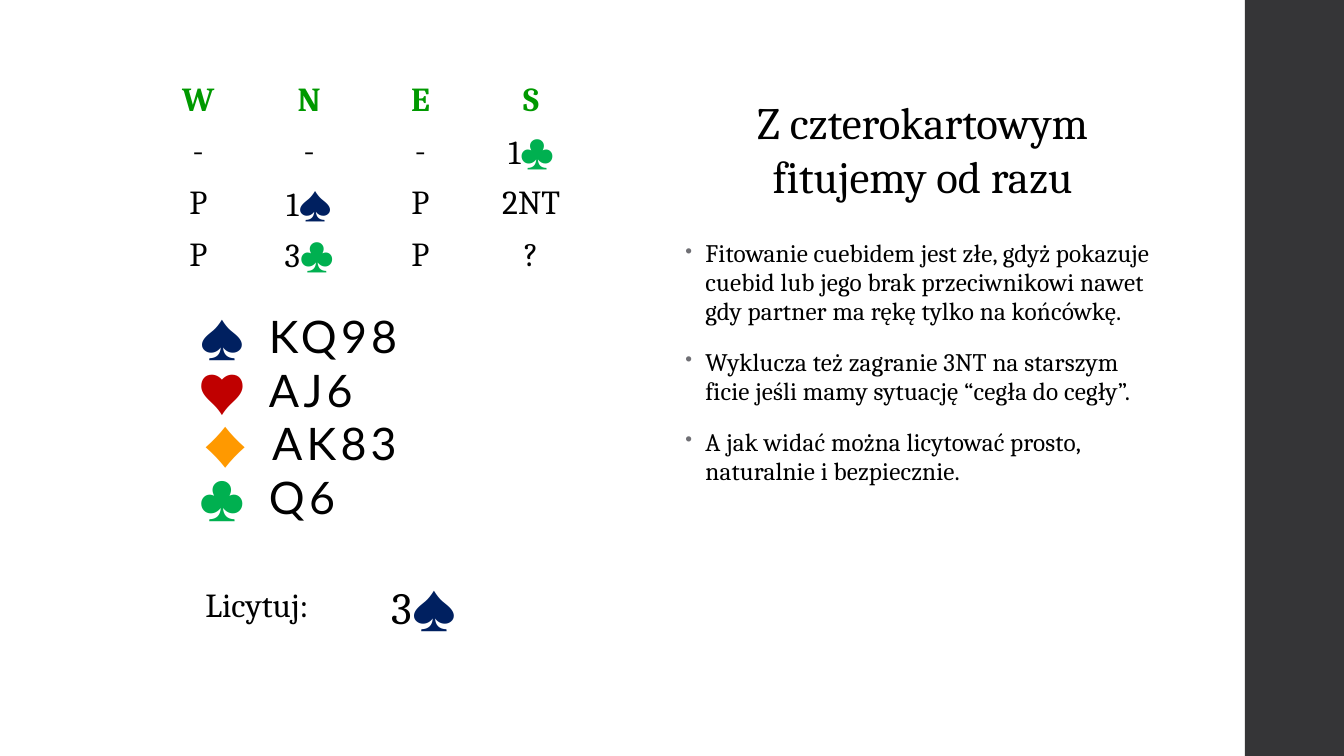
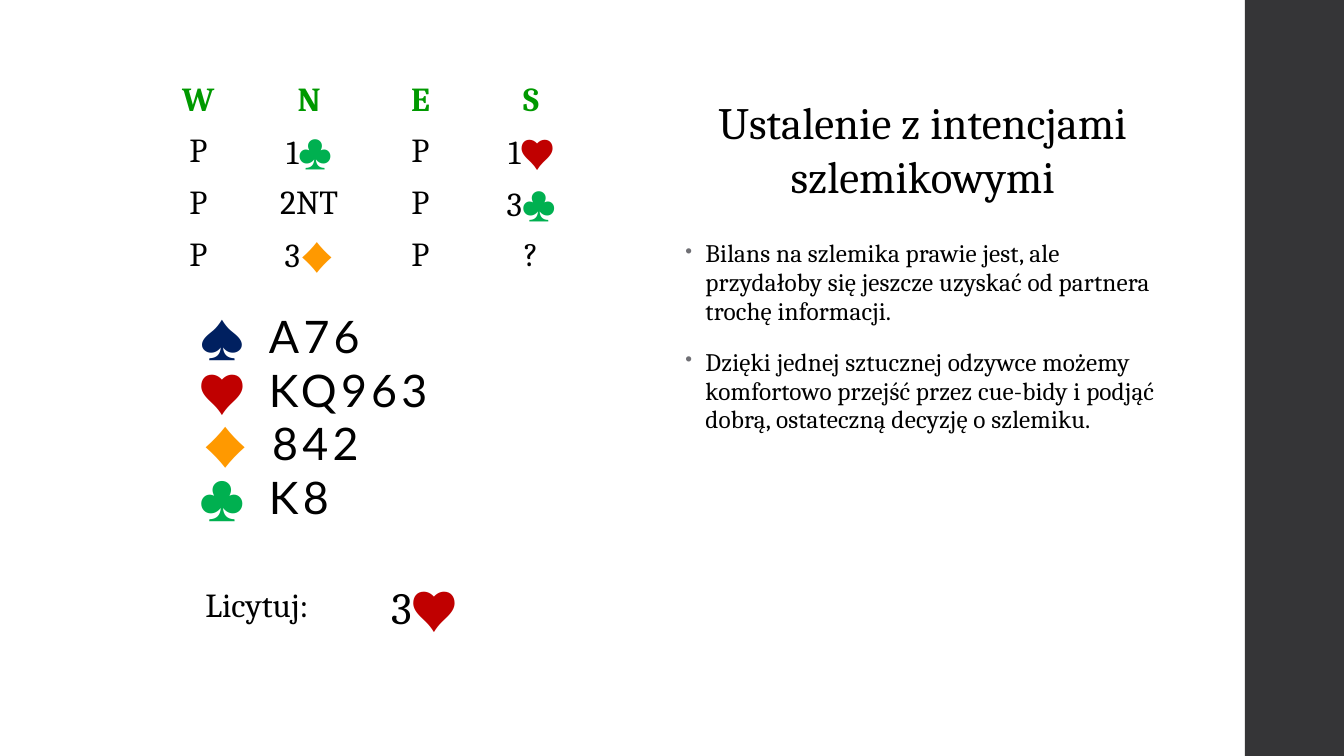
from dataclasses import dataclass
from itertools import groupby
from typing import Any, NamedTuple

from lxml import etree
from pptx import Presentation
from pptx import slide as s
from pptx import util as u
from pptx.dml import color
from pptx.enum import shapes, text
from pptx.oxml import ns
from pptx.text import text as t

COLORS = {
    "band": "353537",
    "text": "000000",
    "seat": "009900",
    "bullet": "6F6F74",
    "♠": "002060",
    "♥": "C00000",
    "♦": "FF9900",
    "♣": "00B050",
}
SUITS = "♠♥♦♣"
SERIF = "Cambria"
SANS = "Lato"
SUIT_SPACING = 3


class Style(NamedTuple):
    size: int
    name: str = SERIF
    color: str = "text"
    bold: bool = False
    spacing: float = 0


class Box(NamedTuple):
    left: float
    top: float
    width: float
    height: float

    def lengths(self) -> list[u.Length]:
        return [u.Cm(value) for value in self]


class Grid(NamedTuple):
    left: float
    top: float
    row_height: float
    columns: tuple[float, ...]


@dataclass(frozen=True)
class Problem:
    title: str
    auction: tuple[tuple[str, ...], ...]
    hand: tuple[str, ...]
    answer: str
    comments: tuple[str, ...]


TITLE = Style(32)
COMMENT = Style(18, spacing=0.1)
SEAT = Style(24, color="seat", bold=True)
CALL = Style(24)
ANSWER = Style(32)
HAND = Style(32, name=SANS, spacing=SUIT_SPACING)

SLIDE_SIZE = (33.87, 19.05)
BAND_BOX = Box(31.37, 0, 2.5, 19.05)
TITLE_BOX = Box(17.02, 2.24, 12.47, 3)
COMMENT_BOX = Box(17.02, 5.92, 12.45, 11.46)
HAND_BOX = Box(4.75, 7.65, 8.86, 5.74)
AUCTION_GRID = Grid(3.61, 1.88, 1.3, (2.77, 2.82, 2.79, 2.79))
ANSWER_GRID = Grid(3.35, 14.48, 1.6, (6.25, 4.01))
HAND_TABS = ((1.27, "r"), (1.78, "l"))
DIAMOND_INDENT = 0.08
BULLET_INDENT = 0.51
SEATS = ("W", "N", "E", "S")

PROBLEMS = (
    Problem(
        "Z czterokartowym fitujemy od razu",
        (("-", "-", "-", "1♣"), ("P", "1♠", "P", "2NT"), ("P", "3♣", "P", "?")),
        ("KQ98", "AJ6", "AK83", "Q6"),
        "3♠",
        (
            "Fitowanie cuebidem jest złe, gdyż pokazuje cuebid lub jego brak "
            "przeciwnikowi nawet gdy partner ma rękę tylko na końcówkę.",
            "Wyklucza też zagranie 3NT na starszym ficie jeśli mamy sytuację "
            "“cegła do cegły”.",
            "A jak widać można licytować prosto, naturalnie i bezpiecznie.",
        ),
    ),
    Problem(
        "Ustalenie z intencjami szlemikowymi",
        (("P", "1♣", "P", "1♥"), ("P", "2NT", "P", "3♣"), ("P", "3♦", "P", "?")),
        ("A76", "KQ963", "842", "K8"),
        "3♥",
        (
            "Bilans na szlemika prawie jest, ale przydałoby się jeszcze uzyskać "
            "od partnera trochę informacji.",
            "Dzięki jednej sztucznej odzywce możemy komfortowo przejść przez "
            "cue-bidy i podjąć dobrą, ostateczną decyzję o szlemiku.",
        ),
    ),
)


def apply(target: Any, values: dict[str, Any]) -> None:
    for name, value in values.items():
        setattr(target, name, value)


def rgb(name: str) -> color.RGBColor:
    return color.RGBColor.from_string(COLORS[name])


def add_element(parent: Any, tag: str, **attributes: Any) -> Any:
    values = {name: str(value) for name, value in attributes.items()}
    return etree.SubElement(parent, ns.qn(f"a:{tag}"), values)


def write(paragraph: t._Paragraph, content: str, style: Style) -> None:
    for suit, characters in groupby(content, lambda c: c if c in SUITS else ""):
        look = style
        if suit:
            look = style._replace(name=SANS, color=suit, spacing=SUIT_SPACING)
        run = paragraph.add_run()
        run.text = "".join(characters)
        apply(run.font, {"size": u.Pt(look.size), "name": look.name, "bold": look.bold})
        run.font.color.rgb = rgb(look.color)
        if look.spacing:
            run.font._element.set("spc", str(round(look.spacing * 100)))


def paragraph_at(frame: t.TextFrame, index: int) -> t._Paragraph:
    return frame.add_paragraph() if index else frame.paragraphs[0]


def add_text_frame(slide: s.Slide, box: Box) -> t.TextFrame:
    frame = slide.shapes.add_textbox(*box.lengths()).text_frame
    frame.word_wrap = True
    return frame


def add_band(slide: s.Slide) -> None:
    band = slide.shapes.add_shape(shapes.MSO_SHAPE.RECTANGLE, *BAND_BOX.lengths())
    band.shadow.inherit = False
    band.fill.solid()
    band.fill.fore_color.rgb = rgb("band")
    band.line.fill.background()
    slide.slide_layout.element.cSld.spTree.insert(2, band.element)


def add_title(slide: s.Slide, title: str) -> None:
    shape = slide.shapes.title
    apply(shape, dict(zip(("left", "top", "width", "height"), TITLE_BOX.lengths())))
    apply(
        shape.text_frame,
        {
            "word_wrap": True,
            "auto_size": text.MSO_AUTO_SIZE.NONE,
            "vertical_anchor": text.MSO_ANCHOR.MIDDLE,
        },
    )
    paragraph = shape.text_frame.paragraphs[0]
    paragraph.alignment = text.PP_ALIGN.CENTER
    write(paragraph, title, TITLE)


def add_grid(
    slide: s.Slide,
    grid: Grid,
    rows: list[tuple[tuple[str, Style, text.PP_ALIGN], ...]],
) -> None:
    box = Box(grid.left, grid.top, sum(grid.columns), grid.row_height * len(rows))
    table = slide.shapes.add_table(
        len(rows), len(grid.columns), *box.lengths()
    ).table
    apply(table, {"first_row": False, "horz_banding": False})
    for column, width in zip(table.columns, grid.columns):
        column.width = u.Cm(width)
    for row, entries in zip(table.rows, rows):
        row.height = u.Cm(grid.row_height)
        for cell, (content, style, alignment) in zip(row.cells, entries):
            cell.fill.background()
            cell.vertical_anchor = text.MSO_ANCHOR.MIDDLE
            paragraph = cell.text_frame.paragraphs[0]
            paragraph.alignment = alignment
            write(paragraph, content, style)


def add_auction(slide: s.Slide, auction: tuple[tuple[str, ...], ...]) -> None:
    center = text.PP_ALIGN.CENTER
    rows = [tuple((seat, SEAT, center) for seat in SEATS)]
    rows += [tuple((call, CALL, center) for call in calls) for calls in auction]
    add_grid(slide, AUCTION_GRID, rows)


def add_answer(slide: s.Slide, answer: str) -> None:
    label = ("Licytuj:", CALL, text.PP_ALIGN.CENTER)
    add_grid(slide, ANSWER_GRID, [(label, (answer, ANSWER, text.PP_ALIGN.LEFT))])


def add_hand(slide: s.Slide, hand: tuple[str, ...]) -> None:
    frame = add_text_frame(slide, HAND_BOX)
    for index, (suit, ranks) in enumerate(zip(SUITS, hand)):
        paragraph = paragraph_at(frame, index)
        properties = paragraph._p.get_or_add_pPr()
        if suit == "♦":
            properties.set("marL", str(u.Cm(DIAMOND_INDENT)))
        tabs = add_element(properties, "tabLst")
        for position, alignment in HAND_TABS:
            add_element(tabs, "tab", pos=u.Cm(position), algn=alignment)
        write(paragraph, f"\t{suit}\t{ranks}", HAND)


def add_comments(slide: s.Slide, comments: tuple[str, ...]) -> None:
    frame = add_text_frame(slide, COMMENT_BOX)
    for index, comment in enumerate(comments):
        paragraph = paragraph_at(frame, index)
        properties = paragraph._p.get_or_add_pPr()
        properties.set("marL", str(u.Cm(BULLET_INDENT)))
        properties.set("indent", str(-u.Cm(BULLET_INDENT)))
        bullet_color = add_element(properties, "buClr")
        add_element(bullet_color, "srgbClr", val=COLORS["bullet"])
        add_element(properties, "buSzPct", val=80000)
        add_element(properties, "buChar", char="•")
        spacing = {"line_spacing": 0.95, "space_after": u.Pt(2)}
        if index:
            spacing["space_before"] = u.Pt(14)
        apply(paragraph, spacing)
        write(paragraph, comment, COMMENT)


def main() -> None:
    presentation = Presentation()
    presentation.slide_width, presentation.slide_height = map(u.Cm, SLIDE_SIZE)
    layout = presentation.slide_layouts.get_by_name("Title Only")
    for index, problem in enumerate(PROBLEMS):
        slide = presentation.slides.add_slide(layout)
        if index == 0:
            add_band(slide)
        add_title(slide, problem.title)
        add_auction(slide, problem.auction)
        add_comments(slide, problem.comments)
        add_hand(slide, problem.hand)
        add_answer(slide, problem.answer)
    presentation.save("out.pptx")


if __name__ == "__main__":
    main()
